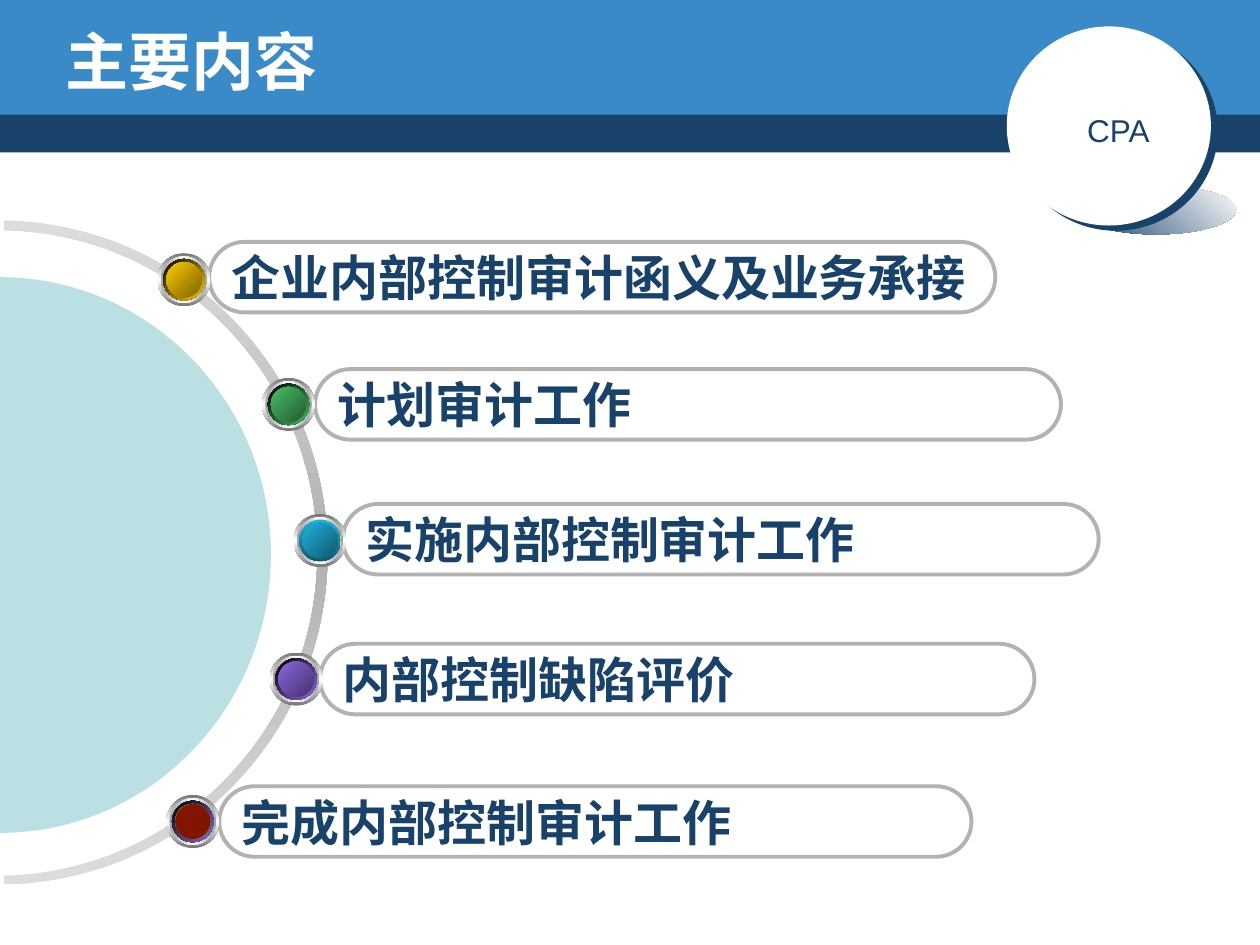
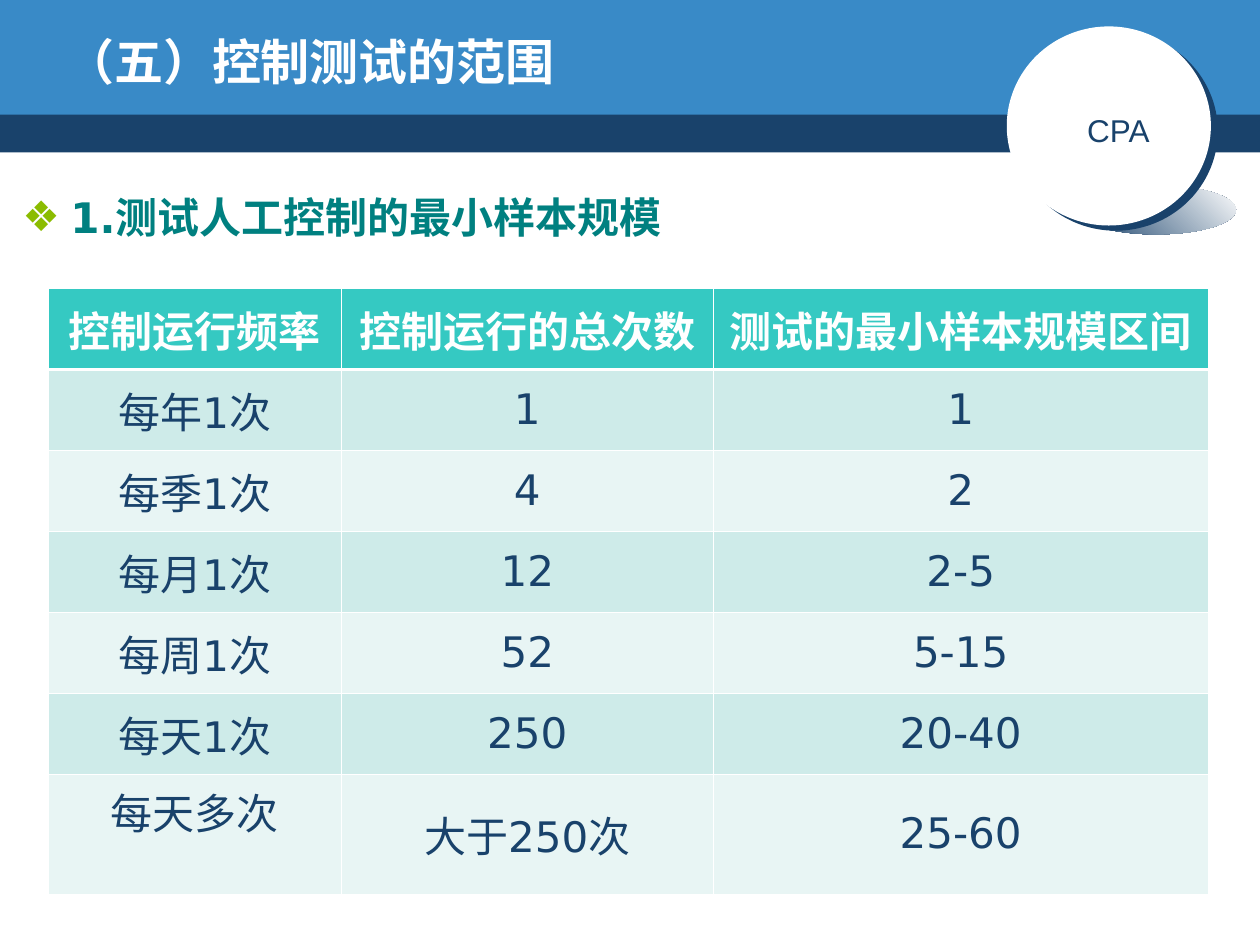
"""Build two audit training slides: an agenda on an arc and a sample size table."""
import copy
import pptx
import pptx.dml.color
import pptx.enum.lang
import pptx.enum.shapes
import pptx.enum.text
import pptx.oxml.ns
import pptx.util
from lxml import etree

Inches = pptx.util.Inches
Pt = pptx.util.Pt
RGBColor = pptx.dml.color.RGBColor
SHAPE = pptx.enum.shapes.MSO_SHAPE
ALIGN = pptx.enum.text.PP_ALIGN
ANCHOR = pptx.enum.text.MSO_ANCHOR
qn = pptx.oxml.ns.qn

NAVY = RGBColor(0x19, 0x42, 0x6B)
BLUE = RGBColor(0x39, 0x8A, 0xC7)
WHITE = RGBColor(0xFF, 0xFF, 0xFF)
BLACK = RGBColor(0x00, 0x00, 0x00)
GRAY = RGBColor(0xB2, 0xB2, 0xB2)
LIGHT_GRAY = RGBColor(0xDC, 0xDC, 0xDC)
RIM_DARK = RGBColor(0x76, 0x76, 0x76)
RIM_LIGHT = RGBColor(0xA2, 0xA2, 0xA2)
PALE_TEAL = RGBColor(0xBB, 0xE0, 0xE3)
LIME = RGBColor(0x8B, 0xBC, 0x00)
DARK_LIME = RGBColor(0x4B, 0x66, 0x00)
GOLD = RGBColor(0xFF, 0xCC, 0x00)
DARK_GOLD = RGBColor(0x7C, 0x63, 0x00)
GREEN = RGBColor(0x48, 0xBE, 0x67)
DARK_GREEN = RGBColor(0x23, 0x5C, 0x32)
CYAN = RGBColor(0x21, 0xB3, 0xE1)
DARK_CYAN = RGBColor(0x10, 0x57, 0x6D)
PURPLE = RGBColor(0x8D, 0x67, 0xE1)
DARK_PURPLE = RGBColor(0x45, 0x32, 0x6D)
DARK_RED = RGBColor(0x82, 0x14, 0x02)
TEAL = RGBColor(0x00, 0x80, 0x80)
HEADER_TEAL = RGBColor(0x35, 0xC9, 0xC2)
BAND_DARK = RGBColor(0xCE, 0xEB, 0xE9)
BAND_LIGHT = RGBColor(0xE8, 0xF5, 0xF4)


def paint(sp, colors, angle=0):
    """Fill with no colour, one colour or an even gradient; drop line and shadow."""
    sp.shadow.inherit = False
    sp.line.fill.background()
    if not colors:
        sp.fill.background()
    elif len(colors) == 1:
        sp.fill.solid()
        sp.fill.fore_color.rgb = colors[0]
    else:
        sp.fill.gradient()
        sp.fill.gradient_angle = -angle % 360
        stops = sp._element.spPr.find(".//" + qn("a:gsLst"))
        for _ in colors[2:]:
            stops.append(copy.deepcopy(stops[0]))
        for i, (stop, color) in enumerate(zip(sp.fill.gradient_stops, colors)):
            stop.position = i / (len(colors) - 1)
            stop.color.rgb = color
    return sp


def write(tf, text, size=24, color=NAVY, bold=False, font="DejaVu Sans",
          align=ALIGN.LEFT, wrap=True, anchor=ANCHOR.MIDDLE):
    """Put one formatted paragraph into a text frame."""
    tf.word_wrap = wrap
    tf.vertical_anchor = anchor
    p = tf.paragraphs[0]
    p.alignment = align
    r = p.add_run()
    r.text = text
    r.font.name = font
    r.font.size = Pt(size)
    r.font.bold = bold
    r.font.color.rgb = color
    r.font.language_id = pptx.enum.lang.MSO_LANGUAGE_ID.SIMPLIFIED_CHINESE
    return p


prs = pptx.Presentation()
prs.slide_width = Inches(10)
prs.slide_height = Inches(7.5)

base_shapes = [
    (SHAPE.RECTANGLE, 0, 0.87, 10, 0.34, [NAVY]),
    (SHAPE.RECTANGLE, 0, 0, 10, 0.91, [BLUE]),
    (SHAPE.OVAL, 8.54, 1.47, 1.27, 0.39, [NAVY, WHITE]),
    (SHAPE.OVAL, 7.99, 0.21, 1.62, 1.58, [WHITE]),
    (SHAPE.OVAL, 8.4, 0.76, 0.89, 0.54, [WHITE]),
]
for title, size in [("主要内容", 36), ("（五）控制测试的范围", 28)]:
    s = prs.slides.add_slide(prs.slide_layouts[6])
    base = []
    for kind, x, y, w, h, colors in base_shapes:
        sp = s.shapes.add_shape(kind, Inches(x), Inches(y), Inches(w), Inches(h))
        base.append(paint(sp, colors, 315))
    disc, badge = base[3:]
    effects = disc._element.spPr.find(qn("a:effectLst"))
    shadow = etree.SubElement(effects, qn("a:outerShdw"), dist=str(Pt(5)),
                              dir=str(37 * 60000), algn="ctr", rotWithShape="0")
    etree.SubElement(shadow, qn("a:srgbClr"), val=str(NAVY))
    write(badge.text_frame, "CPA", size=18, font="Arial", wrap=False)
    box = s.shapes.add_textbox(Inches(0.42), Inches(0.17), Inches(8.5), Inches(0.62))
    write(box.text_frame, title, size=size, color=WHITE, bold=True)

agenda, sampling = prs.slides

ring = [
    [(0.03, 1.83)],
    [(1.41, 1.85), (2.52, 2.99), (2.52, 4.39)],
    [(2.52, 5.79), (1.41, 6.92), (0.03, 6.95)],
    [(0.03, 7.02)],
    [(1.45, 7), (2.6, 5.83), (2.6, 4.39)],
    [(2.6, 2.95), (1.45, 1.77), (0.03, 1.75)],
]
half_disc = [
    [(0, 2.2)],
    [(1.19, 2.2), (2.15, 3.19), (2.15, 4.4)],
    [(2.15, 5.62), (1.19, 6.61), (0, 6.61)],
]
for outline, colors in [(ring, [LIGHT_GRAY, GRAY, LIGHT_GRAY]), (half_disc, [PALE_TEAL])]:
    ends = [(Inches(x), Inches(y)) for x, y in (segment[-1] for segment in outline)]
    fb = agenda.shapes.build_freeform(*ends[0])
    fb.add_line_segments(ends[1:], close=True)
    sp = paint(fb.convert_to_shape(), colors, 90)
    steps = sp._element.spPr.findall(".//" + qn("a:lnTo"))
    for step, segment in zip(steps, outline[1:]):
        if len(segment) == 3:
            step.tag = qn("a:cubicBezTo")
            for i, (x, y) in enumerate(segment[:2]):
                handle = etree.Element(qn("a:pt"), x=str(Inches(x) - sp.left),
                                       y=str(Inches(y) - sp.top))
                step.insert(i, handle)

topics = [
    ("企业内部控制审计函义及业务承接", 1.66, 1.92, 6.24, 1.25, 2.01, [BLACK, GOLD], [GOLD, DARK_GOLD]),
    ("计划审计工作", 2.5, 2.93, 5.92, 2.08, 3, [BLACK, GREEN], [GREEN, DARK_GREEN]),
    ("实施内部控制审计工作", 2.72, 4, 6, 2.33, 4.08, [CYAN, DARK_CYAN], [CYAN, DARK_CYAN]),
    ("内部控制缺陷评价", 2.54, 5.11, 5.67, 2.14, 5.18, [BLACK, PURPLE], [PURPLE, DARK_PURPLE]),
    ("完成内部控制审计工作", 1.74, 6.24, 5.97, 1.32, 6.31, [BLACK, PURPLE], [DARK_RED]),
]
for text, x, y, w, ball_x, ball_y, socket, face in topics:
    pill = agenda.shapes.add_shape(SHAPE.ROUNDED_RECTANGLE, Inches(x), Inches(y),
                                   Inches(w), Inches(0.56))
    pill.adjustments[0] = 0.5
    paint(pill, [])
    pill.line.color.rgb = GRAY
    pill.line.width = Pt(2.25)
    write(pill.text_frame, text, size=28, bold=True, font="Arial", wrap=False)
    layers = [
        (0.42, [RIM_DARK, WHITE, RIM_DARK], 90),
        (0.37, [RIM_LIGHT, WHITE, RIM_LIGHT], 0),
        (0.33, [WHITE, LIME, WHITE], 45),
        (0.33, socket, 90 if socket[0] == CYAN else 45),
        (0.28, [DARK_LIME, LIME, DARK_LIME], 315),
        (0.28, face, 45),
    ]
    for d, colors, angle in layers:
        inset = (0.42 - d) / 2
        sp = agenda.shapes.add_shape(SHAPE.OVAL, Inches(ball_x + inset),
                                     Inches(ball_y + inset), Inches(d), Inches(d))
        paint(sp, colors, angle)

box = sampling.shapes.add_textbox(Inches(0.08), Inches(1.27), Inches(9.79), Inches(2.91))
p = write(box.text_frame, "1.测试人工控制的最小样本规模", color=TEAL, bold=True, anchor=ANCHOR.TOP)
p.line_spacing = 1.5
pPr = p._p.get_or_add_pPr()
pPr.set("marL", str(Inches(0.38)))
pPr.set("indent", str(-Inches(0.38)))
bullet_color = etree.SubElement(pPr, qn("a:buClr"))
etree.SubElement(bullet_color, qn("a:srgbClr"), val=str(LIME))
etree.SubElement(pPr, qn("a:buFont"), typeface="DejaVu Sans")
etree.SubElement(pPr, qn("a:buChar"), char="❖")

rows = [
    ("控制运行频率", "控制运行的总次数", "测试的最小样本规模区间"),
    ("每年1次", "1", "1"),
    ("每季1次", "4", "2"),
    ("每月1次", "12", "2-5"),
    ("每周1次", "52", "5-15"),
    ("每天1次", "250", "20-40"),
    ("每天多次", "大于250次", "25-60"),
]
row_height = 4.5 / len(rows)
table = sampling.shapes.add_table(len(rows), 3, Inches(0.38), Inches(2.29),
                                  Inches(9.21), Inches(4.81)).table
table.horz_banding = False
for col, width in zip(table.columns, (2.33, 2.95, 3.93)):
    col.width = Inches(width)
for i, values in enumerate(rows):
    table.rows[i].height = Inches(0.95 if i == len(rows) - 1 else row_height)
    for j, text in enumerate(values):
        cell = table.cell(i, j)
        write(cell.text_frame, text, color=NAVY if i else WHITE, bold=i == 0, align=ALIGN.CENTER)
        cell.vertical_anchor = ANCHOR.MIDDLE
        tcPr = cell._tc.get_or_add_tcPr()
        for side in "LRTB":
            thick = (i, side) in [(0, "B"), (1, "T")]
            ln = etree.SubElement(tcPr, qn("a:ln" + side), w=str(Pt(1.47 if thick else 0.45)))
            fill = etree.SubElement(ln, qn("a:solidFill"))
            etree.SubElement(fill, qn("a:srgbClr"), val=str(WHITE))
        cell.fill.solid()
        cell.fill.fore_color.rgb = (BAND_DARK if i % 2 else BAND_LIGHT) if i else HEADER_TEAL
table.cell(len(rows) - 1, 0).margin_bottom = Inches(0.42)

prs.save("out.pptx")
